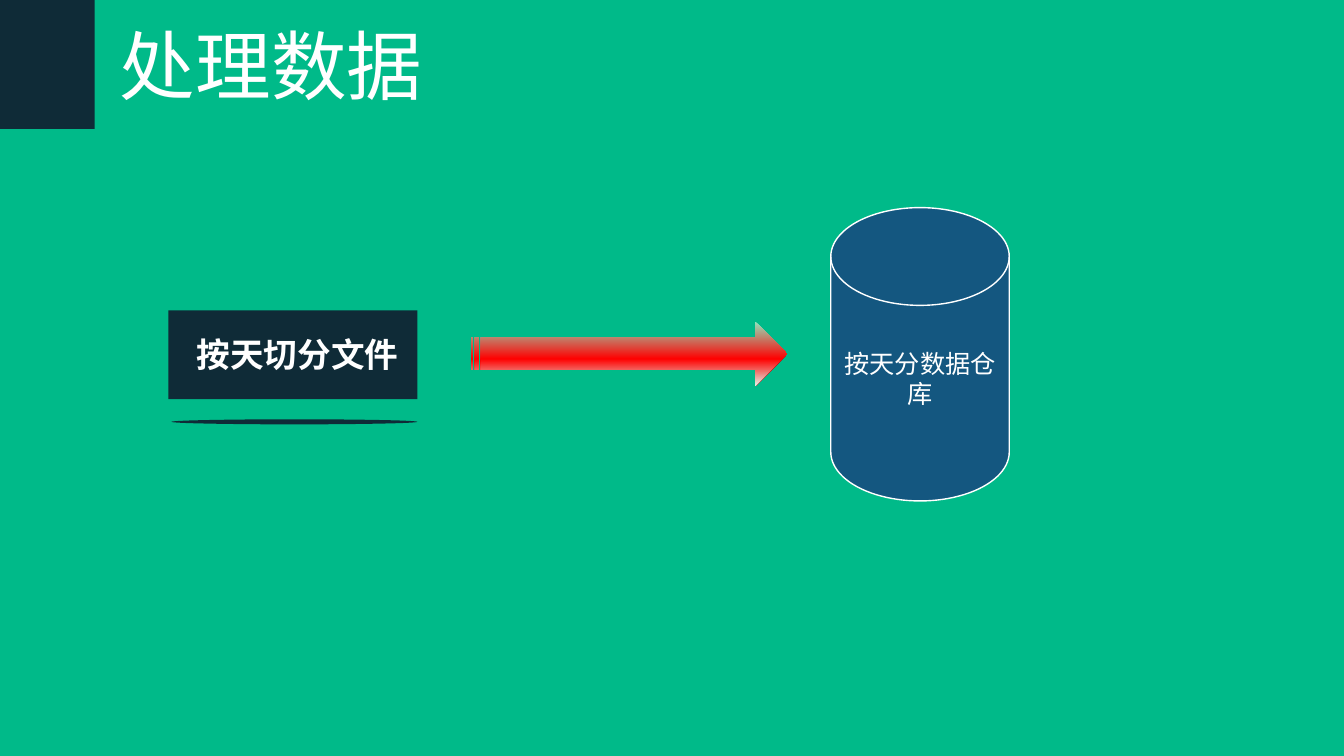
"""Build the data processing slide: files split by day flow into a daily warehouse."""
from pptx import Presentation
from pptx.dml.color import RGBColor
from pptx.enum.shapes import MSO_SHAPE as Preset
from pptx.enum.text import MSO_ANCHOR as Anchor, MSO_AUTO_SIZE as AutoSize, PP_ALIGN as Align
from pptx.oxml import parse_xml
from pptx.oxml.ns import nsdecls
from pptx.util import Inches, Pt

COLORS = {
    "green": "00BA89",
    "navy": "0F2B37",
    "blue": "145780",
    "white": "FFFFFF",
    "mint": "90E5BE",
    "red": "FF0000",
    "pale": "DFF5EA",
}


def color(name):
    return RGBColor.from_string(COLORS[name])


def write(shape, text, size, bold=False, align=Align.LEFT, anchor=Anchor.TOP,
          wrap=True, fit=AutoSize.NONE):
    frame = shape.text_frame
    frame.word_wrap = wrap
    frame.auto_size = fit
    frame.vertical_anchor = anchor
    paragraph = frame.paragraphs[0]
    paragraph.alignment = align
    run = paragraph.add_run()
    run.text = text
    run.font.name = "Arial"
    run.font.size = Pt(size)
    run.font.bold = bold
    run.font.color.rgb = color("white")


prs = Presentation()
prs.slide_width, prs.slide_height = Inches(13.33), Inches(7.5)
slide = prs.slides.add_slide(prs.slide_layouts[5])
slide.background.fill.solid()
slide.background.fill.fore_color.rgb = color("green")

heading = slide.shapes.title
heading.left, heading.top = Inches(1.09), Inches(0.14)
heading.width, heading.height = Inches(4.06), Inches(1.01)
write(heading, "处理数据", 54, fit=AutoSize.SHAPE_TO_FIT_TEXT)

parts = {}
for part, preset, fill, box in [
    ("corner", Preset.RECTANGLE, "navy", (0, 0, 0.94, 1.28)),
    ("files", Preset.RECTANGLE, "navy", (1.67, 3.08, 2.47, 0.88)),
    ("files shade", Preset.OVAL, "navy", (1.7, 4.16, 2.44, 0.05)),
    ("warehouse", Preset.FLOWCHART_MAGNETIC_DISK, "blue", (8.24, 2.06, 1.77, 2.91)),
    ("flow", Preset.STRIPED_RIGHT_ARROW, None, (4.67, 3.19, 3.14, 0.64)),
]:
    shape = slide.shapes.add_shape(preset, *map(Inches, box))
    shape.shadow.inherit = False
    shape.line.fill.background()
    if fill:
        shape.fill.solid()
        shape.fill.fore_color.rgb = color(fill)
    parts[part] = shape

files_label = slide.shapes.add_textbox(Inches(1.83), Inches(3.26), Inches(2.22), Inches(0.5))
write(files_label, "按天切分文件", 24, bold=True, align=Align.RIGHT, wrap=False,
      fit=AutoSize.SHAPE_TO_FIT_TEXT)

warehouse = parts["warehouse"]
warehouse.line.color.rgb = color("white")
warehouse.line.width = Pt(1)
write(warehouse, "按天分数据仓库", 18, align=Align.CENTER, anchor=Anchor.MIDDLE)

stops = "".join(
    f'<a:gs pos="{percent * 1000}"><a:srgbClr val="{COLORS[name]}"/></a:gs>'
    for percent, name in [(0, "mint"), (58, "red"), (100, "pale")]
)
flow_gradient = parse_xml(
    f'<a:gradFill {nsdecls("a")} rotWithShape="1"><a:gsLst>{stops}</a:gsLst>'
    '<a:lin ang="5400000" scaled="0"/></a:gradFill>'
)
parts["flow"].element.spPr.insert(2, flow_gradient)

prs.save("out.pptx")
